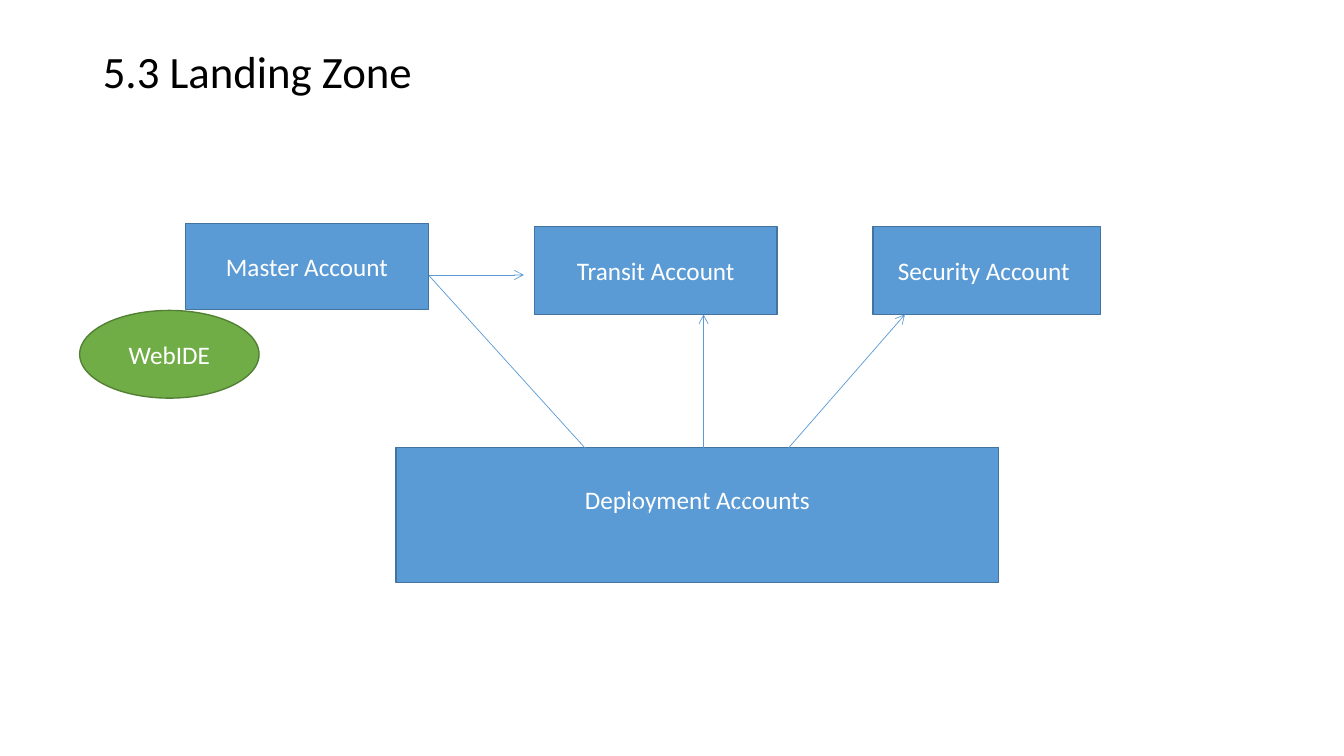
from dataclasses import dataclass
from typing import Any

from lxml import etree
from pptx import Presentation
from pptx import util as u
from pptx.dml import color
from pptx.enum import shapes, text
from pptx.oxml import ns

BLUE, BLUE_EDGE = "5B9BD5", "43739E"
GREEN, GREEN_EDGE = "70AD47", "538035"
WHITE, BLACK = "FFFFFF", "000000"
RECTANGLE = shapes.MSO_SHAPE.RECTANGLE
OVAL = shapes.MSO_SHAPE.OVAL


@dataclass(frozen=True)
class Node:
    label: str
    left: float
    top: float
    width: float
    height: float
    kind: Any = RECTANGLE
    fill: str = BLUE
    edge: str = BLUE_EDGE
    right_inset: float = 7.2
    bottom_inset: float = 3.6


@dataclass(frozen=True)
class Arrow:
    start: tuple[float, float]
    end: tuple[float, float]


ACCOUNTS = [
    Node("Transit Account", 381.6, 162, 173.52, 62.64),
    Node("Security Account", 623.52, 162, 162.72, 62.64, right_inset=11.4),
    Node("Deployment Accounts", 282.8, 319.5, 430.56, 96.48, bottom_inset=25.2),
]
MASTER_EXIT = (306, 196.4)
ARROWS = [
    Arrow(MASTER_EXIT, (374.2, 196.4)),
    Arrow((502.56, 372.24), (502.56, 224.64)),
    Arrow((517.68, 372.24), (646.4, 224.64)),
    Arrow(MASTER_EXIT, (465.12, 372.24)),
]
MASTER_GROUP = [
    Node("WebIDE", 56.88, 221.76, 128.16, 62.64, OVAL, GREEN, GREEN_EDGE),
    Node("Master Account", 132.48, 159.84, 173.52, 61.2),
]


def apply_format(target: Any, values: dict[str, Any]) -> None:
    for name, value in values.items():
        setattr(target, name, value)


def paint(target: Any, hex_color: str) -> None:
    target.solid()
    target.fore_color.rgb = color.RGBColor.from_string(hex_color)


def write_text(shape: Any, label: str, size: float, hex_color: str,
               frame_format: dict[str, Any], para_format: dict[str, Any]) -> None:
    frame = shape.text_frame
    apply_format(frame, {"word_wrap": True,
                         "vertical_anchor": text.MSO_ANCHOR.MIDDLE, **frame_format})
    para = frame.paragraphs[0]
    apply_format(para, para_format)
    span = para.add_run()
    span.text = label
    apply_format(span.font, {"name": "Calibri", "size": u.Pt(size)})
    paint(span.font.fill, hex_color)


def draw_node(page: Any, node: Node) -> None:
    box = page.shapes.add_shape(node.kind, u.Pt(node.left), u.Pt(node.top),
                                u.Pt(node.width), u.Pt(node.height))
    box.shadow.inherit = False
    paint(box.fill, node.fill)
    paint(box.line.fill, node.edge)
    box.line.width = u.Pt(1)
    write_text(box, node.label, 18, WHITE,
               {"margin_right": u.Pt(node.right_inset),
                "margin_bottom": u.Pt(node.bottom_inset)},
               {"alignment": text.PP_ALIGN.CENTER})


def draw_arrow(page: Any, arrow: Arrow) -> None:
    points = [u.Pt(value) for value in (*arrow.start, *arrow.end)]
    connector = page.shapes.add_connector(shapes.MSO_CONNECTOR.STRAIGHT, *points)
    paint(connector.line.fill, BLUE)
    connector.line.width = u.Pt(0.5)
    properties = connector.element.spPr
    outline = properties.find(ns.qn("a:ln"))
    etree.SubElement(outline, ns.qn("a:tailEnd"), type="arrow")
    etree.SubElement(properties, ns.qn("a:effectLst"))


def draw_title(page: Any, label: str) -> None:
    title = page.shapes.title
    apply_format(title, {"left": u.Pt(66.24), "top": u.Pt(28.8),
                         "width": u.Pt(828), "height": u.Pt(47.52)})
    write_text(title, label, 32, BLACK, {"auto_size": text.MSO_AUTO_SIZE.NONE},
               {"alignment": text.PP_ALIGN.LEFT, "line_spacing": 0.9})


def main() -> None:
    deck = Presentation()
    apply_format(deck, {"slide_width": u.Pt(960), "slide_height": u.Pt(540)})
    page = deck.slides.add_slide(deck.slide_layouts.get_by_name("Title Only"))
    draw_title(page, "5.3 Landing Zone")
    for node in ACCOUNTS:
        draw_node(page, node)
    for arrow in ARROWS:
        draw_arrow(page, arrow)
    for node in MASTER_GROUP:
        draw_node(page, node)
    deck.save("out.pptx")


if __name__ == "__main__":
    main()
